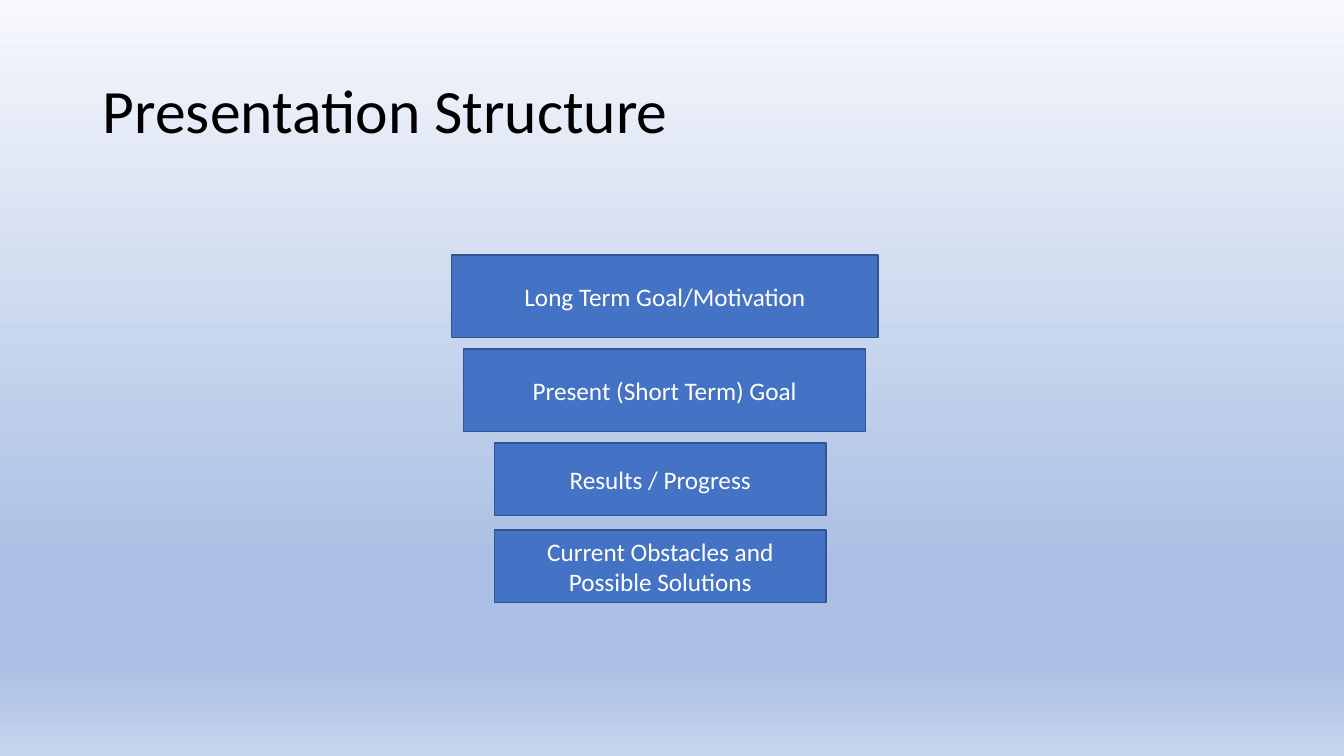
from pptx import Presentation
from pptx.dml.color import RGBColor
from pptx.enum.shapes import MSO_SHAPE as Shape
from pptx.enum.text import MSO_ANCHOR as Anchor, PP_ALIGN as Align
from pptx.oxml import parse_xml
from pptx.oxml.ns import nsdecls
from pptx.util import Inches, Pt

FONT = "Calibri"
BACKGROUND_STOPS = [(0, "F6F8FC"), (74, "ABC0E4"), (88, "ABC0E4"), (100, "C7D5ED")]
TITLE_BOX = (0.92, 0.4, 11.5, 1.45)
FUNNEL_BOX = (4.48, 2.53, 4.23, 3.45)

# Label, then left, top, width and height as shares of the funnel box
STEPS = [
    ("Long Term Goal/Motivation", 0, 0, 1, 0.238),
    ("Present (Short Term) Goal", 0.028, 0.27, 0.943, 0.238),
    ("Results / Progress", 0.1, 0.54, 0.778, 0.209),
    ("Current Obstacles and Possible Solutions", 0.1, 0.791, 0.778, 0.209),
]


def color(value):
    return RGBColor.from_string(value)


def write_text(shape, text, size=18, ink="FFFFFF", align=Align.CENTER, spacing=None):
    frame = shape.text_frame
    frame.word_wrap = True
    frame.vertical_anchor = Anchor.MIDDLE
    para = frame.paragraphs[0]
    para.alignment = align
    para.line_spacing = spacing
    span = para.add_run()
    span.text = text
    span.font.name = FONT
    span.font.size = Pt(size)
    span.font.color.rgb = color(ink)


def paint_background(page):
    """Fill the page with a top-to-bottom gradient."""
    fill = page.background.fill
    fill.gradient()
    stops = fill.gradient_stops
    first, last = BACKGROUND_STOPS[0], BACKGROUND_STOPS[-1]
    for stop, (share, shade) in zip(stops, (first, last)):
        stop.position = share / 100
        stop.color.rgb = color(shade)
    gradient = page.background._cSld.bg.bgPr.find(".//{*}gradFill")
    stop_list = gradient.find("{*}gsLst")
    for place, (share, shade) in enumerate(BACKGROUND_STOPS[1:-1], start=1):
        stop_list.insert(place, parse_xml(
            f'<a:gs {nsdecls("a")} pos="{share * 1000}"><a:srgbClr val="{shade}"/></a:gs>'))
    gradient.find("{*}lin").set("ang", str(90 * 60000))


def place_title(page, box, text):
    title = page.shapes.title
    title.left, title.top, title.width, title.height = map(Inches, box)
    write_text(title, text, size=44, ink="000000", align=Align.LEFT, spacing=0.9)


def draw_funnel(page, box, steps):
    """Stack the narrowing steps inside the box."""
    left, top, width, height = box
    for label, across, down, wide, tall in steps:
        bar = page.shapes.add_shape(
            Shape.RECTANGLE,
            Inches(left + across * width), Inches(top + down * height),
            Inches(wide * width), Inches(tall * height))
        bar.shadow.inherit = False
        bar.fill.solid()
        bar.fill.fore_color.rgb = color("4472C4")
        bar.line.color.rgb = color("325491")
        bar.line.width = Pt(1)
        write_text(bar, label)


def main():
    deck = Presentation()
    deck.slide_width, deck.slide_height = Inches(13.33), Inches(7.5)
    page = deck.slides.add_slide(deck.slide_layouts.get_by_name("Title Only"))
    paint_background(page)
    place_title(page, TITLE_BOX, "Presentation Structure")
    draw_funnel(page, FUNNEL_BOX, STEPS)
    deck.save("out.pptx")


if __name__ == "__main__":
    main()
